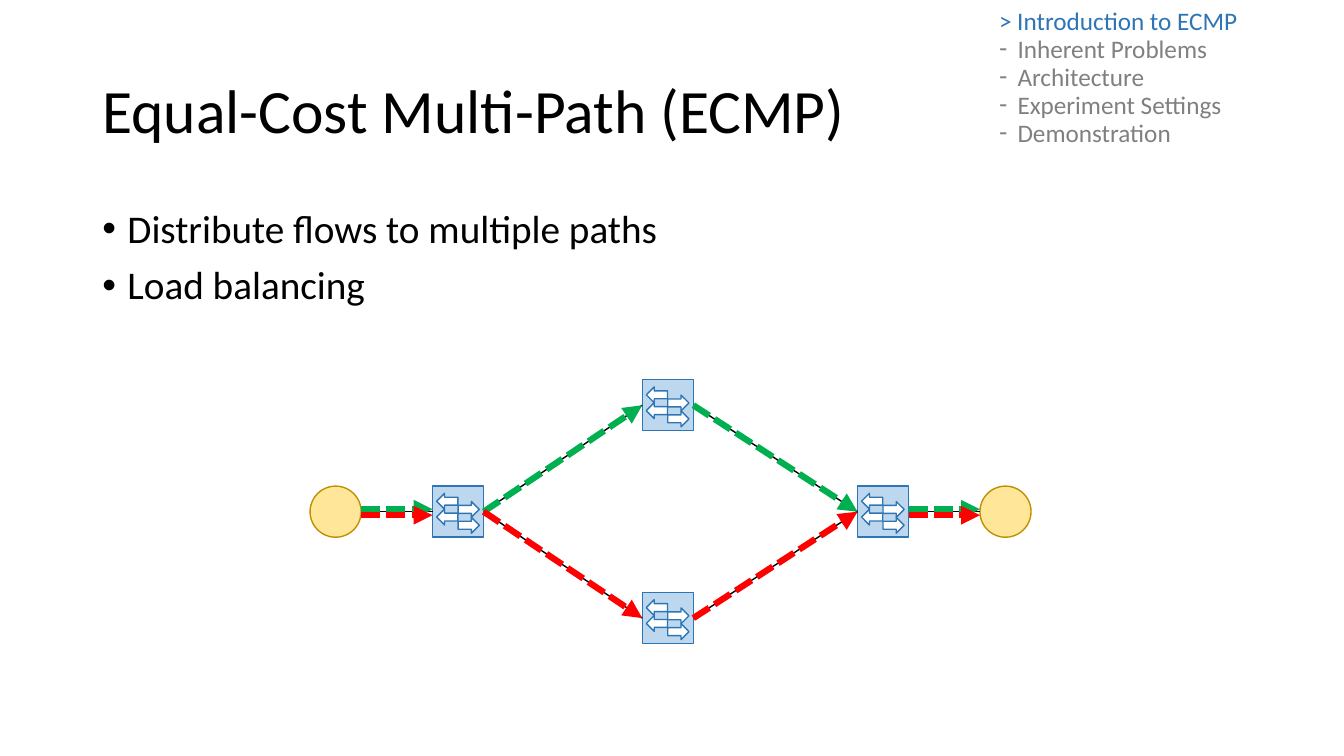
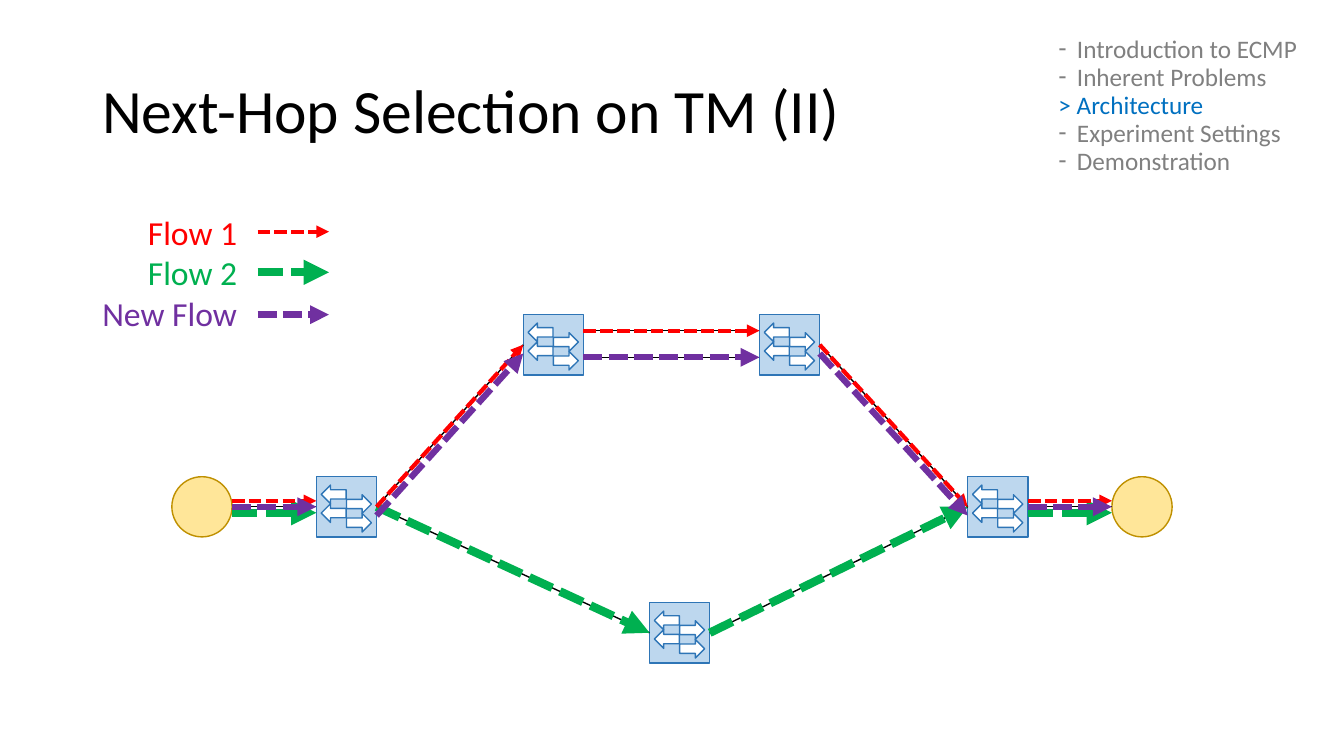
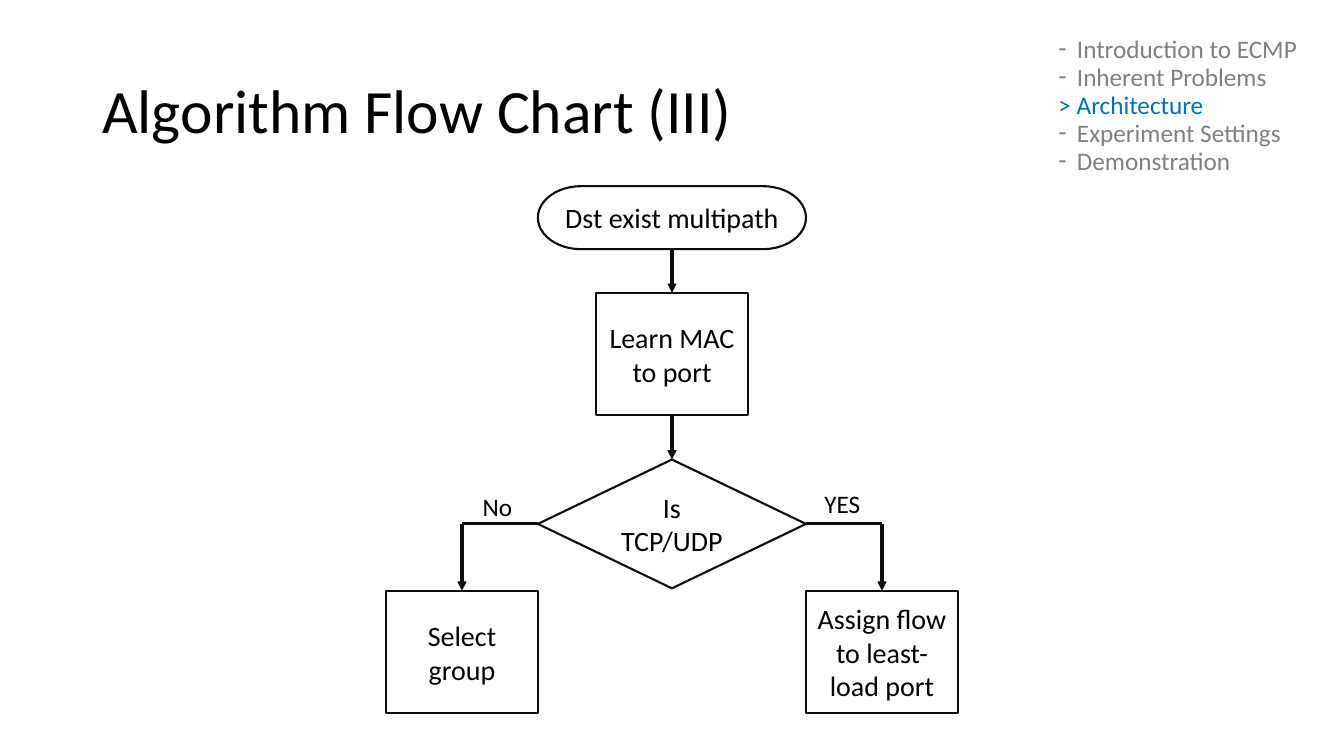
"""Build three slides on equal-cost multi-path routing and save them as out.pptx."""
import dataclasses
import typing

import lxml.etree
import pptx
import pptx.dml.color
import pptx.enum.dml
import pptx.enum.shapes
import pptx.enum.text
import pptx.oxml.ns
import pptx.shapes.autoshape
import pptx.shapes.connector
import pptx.slide
import pptx.util

Pt = pptx.util.Pt
Slide = pptx.slide.Slide
Shape = pptx.shapes.autoshape.Shape
Connector = pptx.shapes.connector.Connector
SHAPES = pptx.enum.shapes.MSO_SHAPE
ANCHOR = pptx.enum.text.MSO_ANCHOR
ALIGN = pptx.enum.text.PP_ALIGN
SYSTEM_DASH = pptx.enum.dml.MSO_LINE.SQUARE_DOT

FONT = "Calibri"
BLACK, WHITE, GREY, INK = "000000", "FFFFFF", "808080", "0D0D0D"
RED, GREEN, PURPLE = "FF0000", "00B050", "7030A0"
SWITCH_FILL, SWITCH_LINE = "BDD7EE", "2E75B6"
HOST_FILL, HOST_LINE = "FFE699", "BF9000"
TOP, LEFT, BOTTOM, RIGHT = range(4)

AGENDA = ["Introduction to ECMP", "Inherent Problems", "Architecture",
          "Experiment Settings", "Demonstration"]
TITLE_FORMAT = {"line_spacing": 0.9}
BODY_FORMAT = {"line_spacing": 0.9, "space_before": Pt(10)}
AGENDA_FORMAT = {"line_spacing": Pt(10), "space_before": Pt(10)}
SWITCH_ARROWS = [(SHAPES.LEFT_ARROW, 0.08, 0.14), (SHAPES.LEFT_ARROW, 0.08, 0.45),
                 (SHAPES.RIGHT_ARROW, 0.5, 0.3), (SHAPES.RIGHT_ARROW, 0.5, 0.61)]


class Box(typing.NamedTuple):
    left: float
    top: float
    width: float
    height: float


class Line(typing.NamedTuple):
    text: str
    color: str = BLACK
    bullet: str = ""
    indent: float = 0


class Pen(typing.NamedTuple):
    color: str
    width: float
    dashed: bool = False
    arrow: bool = False


class Hop(typing.NamedTuple):
    pen: Pen
    start: str
    end: str
    shift: float = 0


@dataclasses.dataclass
class Node:
    name: str
    x: float
    y: float
    is_host: bool = False


@dataclasses.dataclass
class Step:
    name: str
    text: str
    kind: SHAPES
    box: Box


WIRE = Pen(BLACK, 1)
CHART_LINE = Pen(INK, 2.25)
CHART_ARROW = Pen(INK, 2.25, arrow=True)
FLOW_1 = Pen(RED, 3, True, True)
FLOW_2 = Pen(GREEN, 6, True, True)
NEW_FLOW = Pen(PURPLE, 4.5, True, True)


def rgb(color: str) -> pptx.dml.color.RGBColor:
    return pptx.dml.color.RGBColor.from_string(color)


def apply_format(target: typing.Any, values: dict) -> None:
    for name, value in values.items():
        setattr(target, name, value)


def add_child(parent: typing.Any, tag: str, **attributes: str) -> None:
    lxml.etree.SubElement(parent, pptx.oxml.ns.qn(tag), attributes)


def write_lines(shape: Shape, lines: list[Line], size: float, paragraph_format: dict,
                frame_format: dict) -> None:
    frame = shape.text_frame
    apply_format(frame, frame_format)
    for index, line in enumerate(lines):
        paragraph = frame.add_paragraph() if index else frame.paragraphs[0]
        apply_format(paragraph, paragraph_format)
        run = paragraph.add_run()
        run.text = line.text
        apply_format(run.font, {"name": FONT, "size": Pt(size)})
        run.font.color.rgb = rgb(line.color)
        if line.bullet:
            properties = paragraph._p.get_or_add_pPr()
            properties.set("marL", str(Pt(line.indent)))
            properties.set("indent", str(-Pt(line.indent)))
            add_child(properties, "a:buFont", typeface="Arial")
            add_child(properties, "a:buChar", char=line.bullet)


def add_text(slide: Slide, box: Box, lines: list[Line], size: float,
             paragraph_format: dict | None = None, wrap: bool = True,
             anchor: ANCHOR = ANCHOR.TOP) -> None:
    shape = slide.shapes.add_textbox(*map(Pt, box))
    write_lines(shape, lines, size, paragraph_format or {},
                {"word_wrap": wrap, "vertical_anchor": anchor,
                 "auto_size": pptx.enum.text.MSO_AUTO_SIZE.NONE})


def add_shape(shapes: typing.Any, kind: SHAPES, box: Box, fill: str, line: str,
              width: float = 1) -> Shape:
    shape = shapes.add_shape(kind, *map(Pt, box))
    shape.shadow.inherit = False
    shape.fill.solid()
    shape.fill.fore_color.rgb = rgb(fill)
    shape.line.color.rgb = rgb(line)
    shape.line.width = Pt(width)
    return shape


def add_line(slide: Slide, pen: Pen, *ends: int) -> Connector:
    connector = slide.shapes.add_connector(pptx.enum.shapes.MSO_CONNECTOR.STRAIGHT, *ends)
    connector.line.color.rgb = rgb(pen.color)
    connector.line.width = Pt(pen.width)
    if pen.dashed:
        connector.line.dash_style = SYSTEM_DASH
    properties = connector._element.spPr
    if pen.arrow:
        add_child(properties.find(pptx.oxml.ns.qn("a:ln")), "a:tailEnd", type="triangle")
    add_child(properties, "a:effectLst")
    return connector


def add_titled_slide(presentation: typing.Any, title: str, current: str,
                     agenda_box: Box = Box(749, 31.5, 205, 118),
                     highlight: str = "0070C0") -> Slide:
    slide = presentation.slides.add_slide(presentation.slide_layouts[6])
    add_text(slide, Box(66, 28.75, 828, 104.4), [Line(title)], 44, TITLE_FORMAT,
             anchor=ANCHOR.MIDDLE)
    lines = [Line(f"> {topic}", highlight) if topic == current
             else Line(topic, GREY, "-", 13.2) for topic in AGENDA]
    add_text(slide, agenda_box, lines, 18, AGENDA_FORMAT)
    return slide


def add_node(slide: Slide, node: Node, size: float) -> Shape:
    box = Box(node.x - size / 2, node.y - size / 2, size, size)
    if node.is_host:
        return add_shape(slide.shapes, SHAPES.OVAL, box, HOST_FILL, HOST_LINE)
    group = slide.shapes.add_group_shape()
    switch = add_shape(group.shapes, SHAPES.RECTANGLE, box, SWITCH_FILL, SWITCH_LINE)
    for kind, across, down in SWITCH_ARROWS:
        arrow_box = Box(box.left + across * size, box.top + down * size,
                        0.415 * size, 0.31 * size)
        add_shape(group.shapes, kind, arrow_box, WHITE, SWITCH_LINE)
    return switch


def add_hop(slide: Slide, hop: Hop, nodes: dict[str, Shape]) -> None:
    start, end = nodes[hop.start], nodes[hop.end]
    connector = add_line(slide, hop.pen,
                         start.left + start.width,
                         start.top + start.height // 2 + Pt(hop.shift),
                         end.left,
                         end.top + end.height // 2 + Pt(hop.shift))
    if hop.shift:
        return
    if start.auto_shape_type == SHAPES.RECTANGLE:
        connector.begin_connect(start, RIGHT)
    if end.auto_shape_type == SHAPES.RECTANGLE:
        connector.end_connect(end, LEFT)


def add_network(slide: Slide, nodes: list[Node], size: float, hops: list[Hop]) -> None:
    drawn = {node.name: add_node(slide, node, size) for node in nodes}
    for hop in hops:
        add_hop(slide, hop, drawn)


def build_ecmp_slide(presentation: typing.Any) -> None:
    slide = add_titled_slide(presentation, "Equal-Cost Multi-Path (ECMP)", AGENDA[0],
                             Box(706.5, 11.5, 247.5, 118), SWITCH_LINE)
    bullets = ["Distribute flows to multiple paths", "Load balancing"]
    add_text(slide, Box(66, 146, 828, 342.5), [Line(text, BLACK, "•", 18) for text in bullets],
             28, BODY_FORMAT)
    middle, rise = 365.5, 76
    nodes = [Node("source", 239.75, middle, True), Node("entry", 327.25, middle),
             Node("lower", 477, middle + rise), Node("upper", 477, middle - rise),
             Node("exit", 630.75, middle), Node("target", 718.25, middle, True)]
    green, red = Pen(GREEN, 4.5, True, True), Pen(RED, 4.5, True, True)
    wires = [Hop(WIRE, start, end) for start, end in [
        ("entry", "upper"), ("entry", "lower"), ("upper", "exit"), ("lower", "exit"),
        ("source", "entry"), ("exit", "target")]]
    flows = [Hop(green, "source", "entry", -1.75), Hop(green, "entry", "upper"),
             Hop(red, "source", "entry", 2.5), Hop(red, "entry", "lower"),
             Hop(red, "lower", "exit"), Hop(green, "upper", "exit"),
             Hop(green, "exit", "target", -1.75), Hop(red, "exit", "target", 2.5)]
    add_network(slide, nodes, 36.5, wires + flows)


def build_next_hop_slide(presentation: typing.Any) -> None:
    slide = add_titled_slide(presentation, "Next-Hop Selection on TM (II)", AGENDA[2])
    middle, upper = 362, 246.25
    nodes = [Node("source", 144.25, middle, True), Node("entry", 247.5, middle),
             Node("lower", 485.5, 452), Node("upper left", 395.25, upper),
             Node("exit", 712.75, middle), Node("target", 815.75, middle, True),
             Node("upper right", 564, upper)]
    wires = [Hop(WIRE, *ends) for ends in [
        ("entry", "upper left"), ("entry", "lower"), ("upper right", "exit"),
        ("lower", "exit"), ("source", "entry"), ("exit", "target"),
        ("upper left", "upper right", -10), ("upper left", "upper right", 9)]]
    flow_2 = [Hop(FLOW_2, "entry", "lower"), Hop(FLOW_2, "lower", "exit"),
              Hop(FLOW_2, "source", "entry", 4.25), Hop(FLOW_2, "exit", "target", 4.25)]
    upper_route = ["source", "entry", "upper left", "upper right", "exit", "target"]
    upper_flows = [Hop(pen, start, end, shift)
                   for pen, shifts in [(FLOW_1, (-4.25, 0, -10, 0, -4.25)),
                                       (NEW_FLOW, (0, 6.25, 9, 6.25, 0))]
                   for start, end, shift in zip(upper_route, upper_route[1:], shifts)]
    add_network(slide, nodes, 43, wires + flow_2 + upper_flows)

    add_text(slide, Box(98.5, 147.5, 78.5, 65.5), [Line("Flow 1", RED), Line("Flow 2", GREEN)],
             24, wrap=False)
    add_text(slide, Box(66, 206, 111.5, 36), [Line("New Flow", PURPLE)], 24, wrap=False)
    for pen, height in [(FLOW_1, 165.5), (FLOW_2, 194.5), (NEW_FLOW, 224.75)]:
        add_line(slide, pen, Pt(184), Pt(height), Pt(235), Pt(height))


def build_flow_chart_slide(presentation: typing.Any) -> None:
    slide = add_titled_slide(presentation, "Algorithm Flow Chart (III)", AGENDA[2])
    center, branch = 480, 150
    wide, narrow, tall = 191.5, 109, 87.5
    steps = [
        Step("start", "Dst exist multipath", SHAPES.FLOWCHART_TERMINATOR,
             Box(center - wide / 2, 133, wide, 45)),
        Step("learn", "Learn MAC to port", SHAPES.RECTANGLE,
             Box(center - narrow / 2, 209.25, narrow, tall)),
        Step("decision", "Is TCP/UDP", SHAPES.FLOWCHART_DECISION,
             Box(center - wide / 2, 328.25, wide, 92)),
        Step("select", "Select group", SHAPES.RECTANGLE,
             Box(center - branch - narrow / 2, 422, narrow, tall)),
        Step("assign", "Assign flow to least-load port", SHAPES.RECTANGLE,
             Box(center + branch - narrow / 2, 422, narrow, tall))]
    drawn = {}
    for step in steps:
        shape = add_shape(slide.shapes, step.kind, step.box, WHITE, INK, 1.5)
        write_lines(shape, [Line(step.text)], 20, {"alignment": ALIGN.CENTER},
                    {"word_wrap": True, "vertical_anchor": ANCHOR.MIDDLE})
        drawn[step.name] = shape

    for upper, lower in [("start", "learn"), ("learn", "decision")]:
        connector = add_line(slide, CHART_ARROW, 0, 0, 0, 0)
        connector.begin_connect(drawn[upper], BOTTOM)
        connector.end_connect(drawn[lower], TOP)

    decision = drawn["decision"]
    turn_y = decision.top + decision.height // 2
    for name, side, turn_x in [("select", LEFT, Pt(center - branch)),
                               ("assign", RIGHT, Pt(center + branch))]:
        add_line(slide, CHART_LINE, turn_x, turn_y, turn_x, turn_y).begin_connect(decision, side)
        add_line(slide, CHART_ARROW, turn_x, turn_y, turn_x, turn_y).end_connect(drawn[name], TOP)

    add_text(slide, Box(581.75, 345, 40.5, 29), [Line("YES")], 18, wrap=False)
    add_text(slide, Box(337.75, 347.5, 36, 29), [Line("No")], 18, wrap=False)


def main() -> None:
    presentation = pptx.Presentation()
    apply_format(presentation, {"slide_width": Pt(960), "slide_height": Pt(540)})
    for build in (build_ecmp_slide, build_next_hop_slide, build_flow_chart_slide):
        build(presentation)
    presentation.save("out.pptx")


if __name__ == "__main__":
    main()
